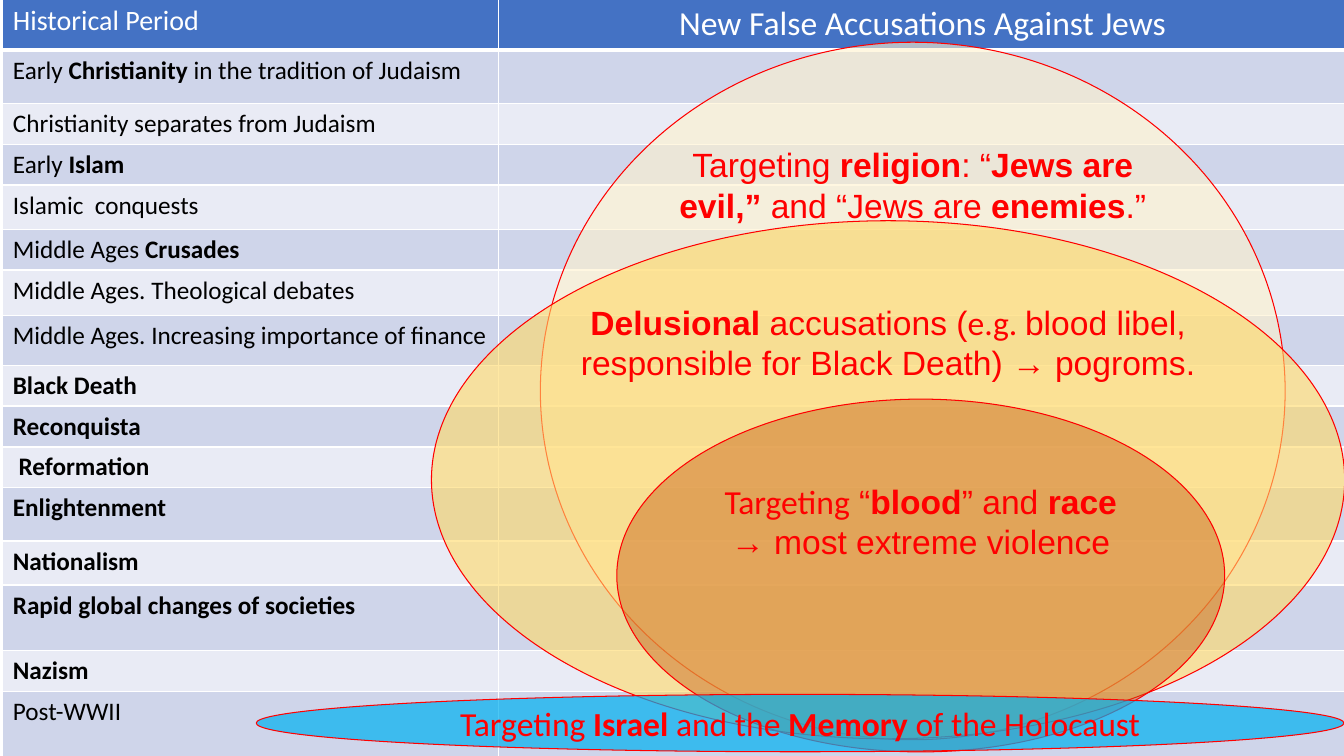
from lxml.etree import SubElement
from pptx import Presentation
from pptx.dml.color import RGBColor
from pptx.enum.shapes import MSO_SHAPE
from pptx.enum.text import MSO_ANCHOR as Anchor, PP_ALIGN as Align
from pptx.oxml.ns import qn
from pptx.util import Pt

COLORS = {
    "white": "FFFFFF", "black": "000000", "header": "4472C4",
    "band_dark": "CFD5EA", "band_light": "E9EBF5", "red": "FF0000",
    "cream": "FFF2CC", "yellow": "FFD966", "brown": "C55A11", "blue": "00B0F0",
}

HEADERS = [("Historical Period", 20, Align.LEFT),
           ("New False Accusations Against Jews", 24, Align.CENTER)]
HEADER_HEIGHT = 36
COLUMN_WIDTHS = [354, 606]

# Asterisks enclose bold words.
PERIODS = [
    ("Early *Christianity* in the tradition of Judaism", 38),
    ("Christianity separates from Judaism", 29),
    ("Early *Islam*", 29),
    ("Islamic  conquests", 31.5),
    ("Middle Ages *Crusades*", 29),
    ("Middle Ages. Theological debates", 32.5),
    ("Middle Ages. Increasing importance of finance", 35.5),
    ("*Black Death*", 29),
    ("*Reconquista*", 29),
    (" *Reformation*", 29),
    ("*Enlightenment*", 38),
    ("*Nationalism*", 31.5),
    ("*Rapid global changes of societies*", 47),
    ("*Nazism*", 29),
    ("Post-WWII", 46.5),
]

ACCUSATIONS = [
    {"box": (386, 30.2, 532, 498.2), "color": "cream", "opacity": 59,
     "insets": (0, 0, 0, 3.6), "anchor": Anchor.TOP,
     "texts": [("Arial", "Targeting *religion*: “*Jews are evil,”* and “Jews are *enemies*.”")]},
    {"box": (308.2, 157.7, 652.3, 370), "color": "yellow", "opacity": 60,
     "insets": (7.2, 3.6, 7.2, 3.6), "anchor": Anchor.TOP,
     "texts": [("Arial", "*Delusional* accusations ("), ("Calibri", "e.g. "),
               ("Arial", "blood libel, responsible for Black Death) → pogroms.")]},
    {"box": (440.6, 285.1, 434.2, 252), "color": "brown", "opacity": 44,
     "insets": (7.2, 21.6, 7.2, 3.6), "anchor": Anchor.TOP,
     "texts": [("Calibri", "Targeting"),
               ("Arial", " “*blood*” and *race *→ most extreme violence")]},
    {"box": (183, 496, 777, 41), "color": "blue", "opacity": 70,
     "insets": (7.2, 0, 7.2, 0), "anchor": Anchor.MIDDLE,
     "texts": [("Calibri", "Targeting *Israel* and the *Memory* of the Holocaust")]},
]


def rgb(name):
    return RGBColor.from_string(COLORS[name])


def apply_format(target, values):
    for name, value in values.items():
        setattr(target, name, value)


def add_text(paragraph, marked_text, font, size, color):
    for index, words in enumerate(marked_text.split("*")):
        if words:
            run = paragraph.add_run()
            run.text = words
            apply_format(run.font, {"name": font, "size": Pt(size), "bold": index % 2 == 1})
            run.font.color.rgb = rgb(color)


def add_borders(cell, bottom_width):
    properties = cell._tc.get_or_add_tcPr()
    for side, width in (("L", 1), ("R", 1), ("T", 1), ("B", bottom_width)):
        line = SubElement(properties, qn(f"a:ln{side}"), w=str(Pt(width)))
        fill = SubElement(line, qn("a:solidFill"))
        SubElement(fill, qn("a:srgbClr"), val=COLORS["white"])


def style_cell(cell, color, bottom_width=1):
    add_borders(cell, bottom_width)
    cell.fill.solid()
    cell.fill.fore_color.rgb = rgb(color)


def add_period_table(slide):
    heights = [HEADER_HEIGHT] + [height for _, height in PERIODS]
    table = slide.shapes.add_table(
        len(heights), len(COLUMN_WIDTHS), Pt(2), Pt(-0.7),
        Pt(sum(COLUMN_WIDTHS)), Pt(sum(heights))).table
    for column, width in zip(table.columns, COLUMN_WIDTHS):
        column.width = Pt(width)
    for row, height in zip(table.rows, heights):
        row.height = Pt(height)
    for cell, (text, size, alignment) in zip(table.rows[0].cells, HEADERS):
        style_cell(cell, "header", 3)
        paragraph = cell.text_frame.paragraphs[0]
        paragraph.alignment = alignment
        add_text(paragraph, text, "Calibri", size, "white")
    for index, (text, _) in enumerate(PERIODS, 1):
        for cell in table.rows[index].cells:
            style_cell(cell, "band_dark" if index % 2 else "band_light")
        paragraph = table.cell(index, 0).text_frame.paragraphs[0]
        add_text(paragraph, text, "Calibri", 18, "black")


def add_accusation(slide, box, color, opacity, insets, anchor, texts):
    shape = slide.shapes.add_shape(MSO_SHAPE.OVAL, *map(Pt, box))
    shape.shadow.inherit = False
    shape.fill.solid()
    shape.fill.fore_color.rgb = rgb(color)
    fill_color = shape._element.spPr.find(qn("a:solidFill"))[0]
    SubElement(fill_color, qn("a:alpha"), val=str(opacity * 1000))
    shape.line.color.rgb = rgb("red")
    shape.line.width = Pt(0.75)
    left, top, right, bottom = map(Pt, insets)
    apply_format(shape.text_frame, {
        "word_wrap": True, "vertical_anchor": anchor, "margin_left": left,
        "margin_top": top, "margin_right": right, "margin_bottom": bottom})
    paragraph = shape.text_frame.paragraphs[0]
    paragraph.alignment = Align.CENTER
    for font, text in texts:
        add_text(paragraph, text, font, 24, "red")


def main():
    presentation = Presentation()
    apply_format(presentation, {"slide_width": Pt(960), "slide_height": Pt(540)})
    slide = presentation.slides.add_slide(presentation.slide_layouts[6])
    add_period_table(slide)
    for accusation in ACCUSATIONS:
        add_accusation(slide, **accusation)
    presentation.save("out.pptx")


if __name__ == "__main__":
    main()
